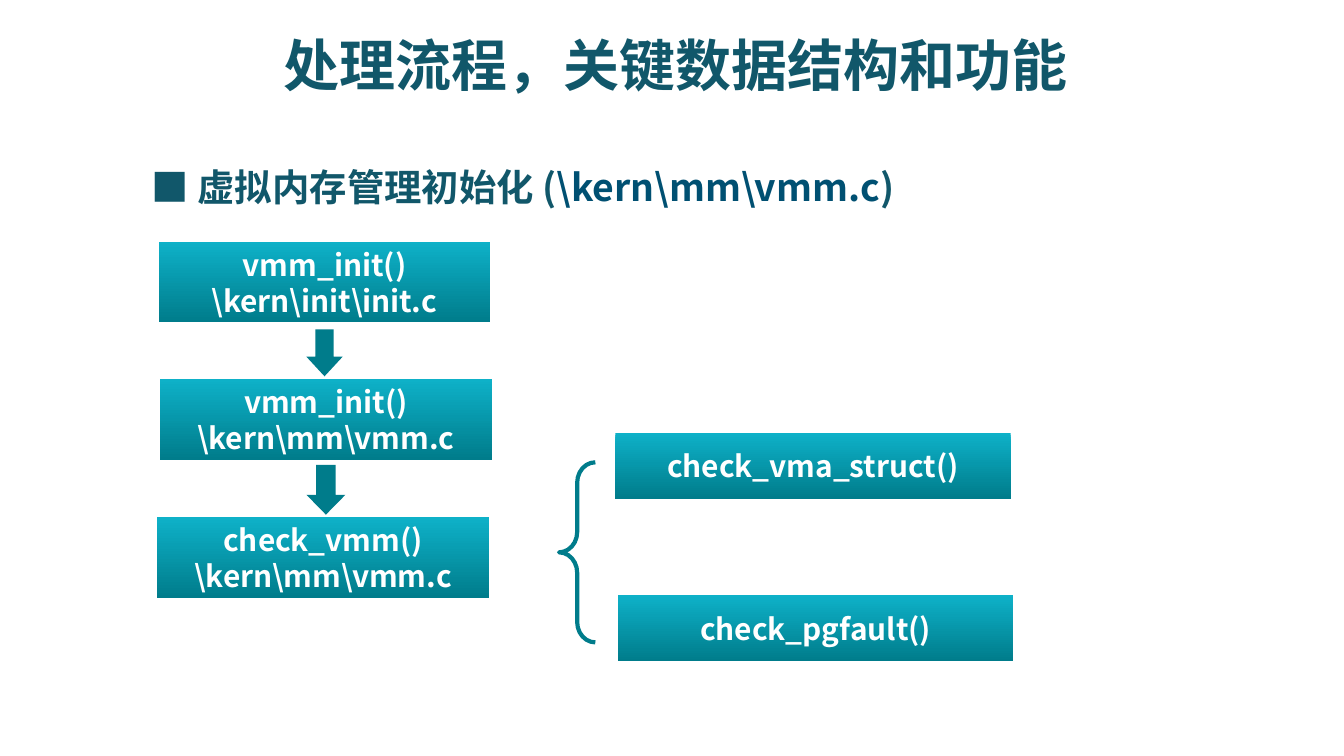
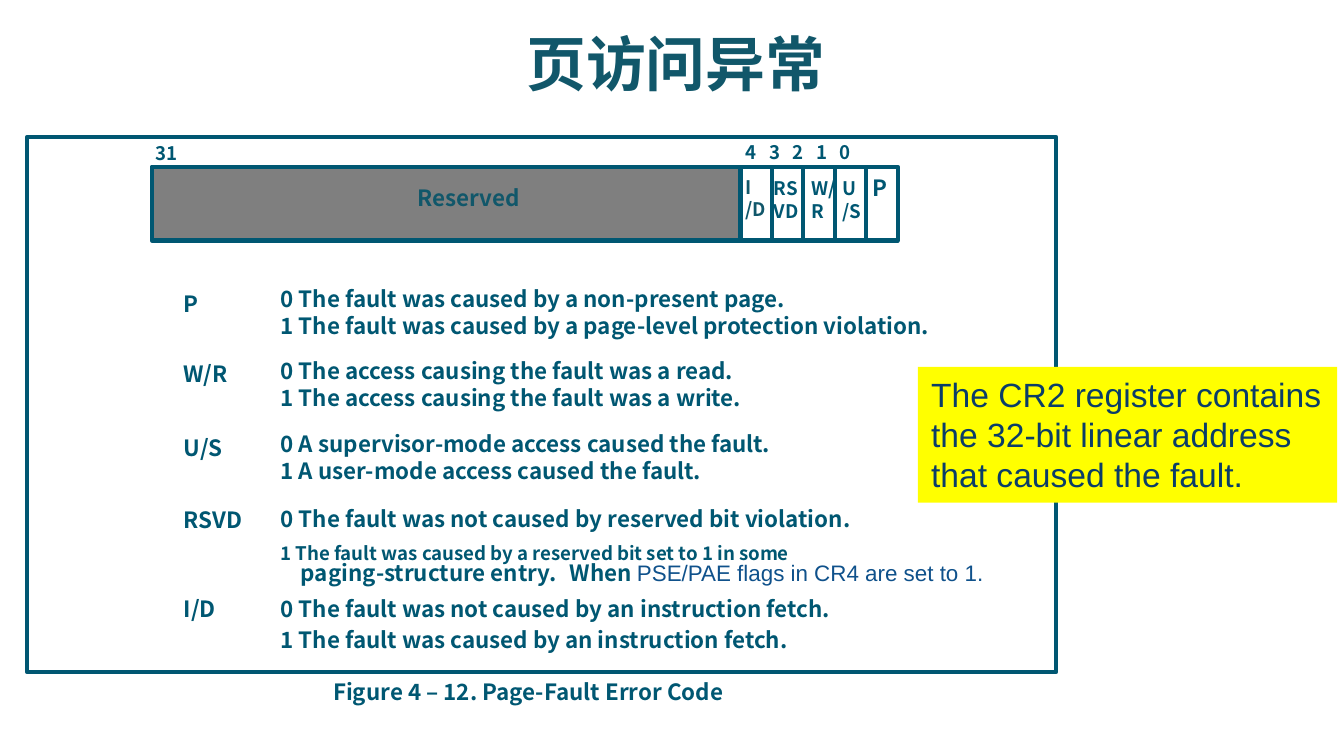
from dataclasses import dataclass, replace

from lxml import etree
from pptx import Presentation
from pptx.dml.color import RGBColor
from pptx.enum.shapes import MSO_SHAPE
from pptx.enum.text import MSO_ANCHOR, MSO_AUTO_SIZE, PP_ALIGN
from pptx.oxml.ns import qn
from pptx.util import Inches, Pt

RECTANGLE = MSO_SHAPE.RECTANGLE
DOWN_ARROW = MSO_SHAPE.DOWN_ARROW
LEFT_BRACE = MSO_SHAPE.LEFT_BRACE
TOP, MIDDLE, BOTTOM = MSO_ANCHOR.TOP, MSO_ANCHOR.MIDDLE, MSO_ANCHOR.BOTTOM
LEFT, CENTER = PP_ALIGN.LEFT, PP_ALIGN.CENTER
FIT_SHAPE, NO_FIT = MSO_AUTO_SIZE.SHAPE_TO_FIT_TEXT, MSO_AUTO_SIZE.NONE
TITLE_ONLY = 5


@dataclass(frozen=True)
class Style:
    size: int
    color: str
    bold: bool = True
    face: str = "Noto Sans CJK SC"


@dataclass(frozen=True)
class Theme:
    heading: str = "11576A"
    ink: str = "005772"
    file_name: str = "005072"
    box_top: str = "0EB1C8"
    accent: str = "007C8B"
    reserved: str = "7F7F7F"
    callout: str = "FFFF00"
    line_width: float = 2.25
    title: Style = Style(30, heading)
    bullet: Style = Style(20, heading)
    box: Style = Style(16, "FFFFFF")
    body: Style = Style(12, ink)
    small: Style = Style(10, ink)
    flags: Style = Style(12, "0F518B", False, "Arial")
    note: Style = Style(18, "0B3D68", False, "Arial")


THEME = Theme()

FLOW_STEPS = [
    (1.18, 1.8, ["vmm_init()", "\\kern\\init\\init.c"]),
    (1.19, 2.82, ["vmm_init()", "\\kern\\mm\\vmm.c"]),
    (1.17, 3.85, ["check_vmm()", "\\kern\\mm\\vmm.c"]),
]
CHECKS = [(4.58, 3.22, "check_vma_struct()"), (4.6, 4.43, "check_pgfault()")]

# label lines, left, top, width, style, wraps
BIT_LABELS = [
    (["I", "/D"], 5.45, 1.26, 0.38, replace(THEME.small, color=THEME.heading), False),
    (["RS", "VD"], 5.66, 1.27, 0.41, THEME.small, False),
    (["W/R"], 5.94, 1.27, 0.4, THEME.small, True),
    (["U", "/S"], 6.17, 1.27, 0.35, THEME.small, False),
    (["P"], 6.39, 1.25, 0.32, THEME.body, False),
]
BITS_WIDTH = 1.17
FIELD_NAMES = [
    ("P", 2.11, 0.32),
    ("W/R", 2.63, 0.57),
    ("U/S", 3.18, 0.52),
    ("RSVD", 3.72, 0.72),
    ("I/D", 4.38, 0.46),
]
FIELD_VALUES = [
    ("0 The fault was caused by a non-present page.", 2.07),
    ("1 The fault was caused by a page-level protection violation.", 2.27),
    ("0 The access causing the fault was a read.", 2.61),
    ("1 The access causing the fault was a write.", 2.81),
    ("0 A supervisor-mode access caused the fault.", 3.15),
    ("1 A user-mode access caused the fault.", 3.35),
    ("0 The fault was not caused by reserved bit violation.", 3.71),
    ("0 The fault was not caused by an instruction fetch.", 4.38),
    ("1 The fault was caused by an instruction fetch.", 4.61),
]


def rgb(color):
    return RGBColor.from_string(color)


def set_font(font, style):
    """Apply a style, giving East Asian characters the same typeface."""
    font.size = Pt(style.size)
    font.bold = style.bold
    font.color.rgb = rgb(style.color)
    font.name = style.face
    etree.SubElement(font._rPr, qn("a:ea"), typeface=style.face)


def set_indent(para, left, first=0):
    properties = para._p.get_or_add_pPr()
    properties.set("marL", str(Inches(left)))
    properties.set("indent", str(Inches(first)))


def set_tabs(para, stops):
    tabs = etree.SubElement(para._p.get_or_add_pPr(), qn("a:tabLst"))
    for stop in stops:
        etree.SubElement(tabs, qn("a:tab"), pos=str(Inches(stop)), algn="l")


def add_spans(para, spans):
    for text, style in spans:
        span = para.add_run()
        span.text = text
        set_font(span.font, style)


def write_lines(frame, lines, style, align=LEFT):
    for index, line in enumerate(lines):
        para = frame.add_paragraph() if index else frame.paragraphs[0]
        para.add_run().text = line
        para.alignment = align
        set_font(para.font, style)


def add_text(page, at, lines=(), style=THEME.body, wrap=True):
    box = page.shapes.add_textbox(*map(Inches, at))
    frame = box.text_frame
    frame.word_wrap = wrap
    frame.auto_size = FIT_SHAPE
    write_lines(frame, lines, style)
    return frame


def add_plain_shape(page, kind, at, fill=None, line=None):
    shape = page.shapes.add_shape(kind, *map(Inches, at))
    shape.shadow.inherit = False
    if fill:
        shape.fill.solid()
        shape.fill.fore_color.rgb = rgb(fill)
    else:
        shape.fill.background()
    if line:
        shape.line.color.rgb = rgb(line)
        shape.line.width = Pt(THEME.line_width)
    else:
        shape.line.fill.background()
    return shape


def add_function_box(page, at, lines):
    box = add_plain_shape(page, RECTANGLE, at)
    box.fill.gradient()
    box.fill.gradient_angle = 270
    for stop, color in zip(box.fill.gradient_stops, (THEME.box_top, THEME.accent)):
        stop.color.rgb = rgb(color)
    box.text_frame.word_wrap = False
    box.text_frame.vertical_anchor = MIDDLE
    write_lines(box.text_frame, lines, THEME.box, CENTER)


def add_page(deck, title, size):
    page = deck.slides.add_slide(deck.slide_layouts[TITLE_ONLY])
    box = page.shapes.title
    box.left, box.top, box.width, box.height = map(Inches, (0.68, 0.12, 8.7, 0.66))
    box.text_frame.vertical_anchor = BOTTOM
    box.text_frame.auto_size = NO_FIT
    write_lines(box.text_frame, [title], replace(THEME.title, size=size), CENTER)
    return page


def build_flow_page(deck):
    page = add_page(deck, "处理流程，关键数据结构和功能", 30)
    para = add_text(page, (1.03, 1.17, 8.5, 0.7)).paragraphs[0]
    set_indent(para, 0.38, -0.38)
    add_spans(para, [
        ("■ ", replace(THEME.bullet, face="Noto Sans CJK JP")),
        ("虚拟内存管理初始化 (", THEME.bullet),
        ("\\kern\\mm\\vmm.c", replace(THEME.bullet, color=THEME.file_name)),
        (")", THEME.bullet),
    ])
    for left, top, lines in FLOW_STEPS:
        add_function_box(page, (left, top, 2.47, 0.6), lines)
    for top, width, height, head in ((2.45, 0.27, 0.35, 0.54), (3.46, 0.29, 0.37, 0.51)):
        arrow = add_plain_shape(page, DOWN_ARROW, (2.28, top, width, height), THEME.accent)
        arrow.adjustments[1] = head
    brace = add_plain_shape(page, LEFT_BRACE, (4.16, 3.44, 0.27, 1.34), line=THEME.accent)
    brace.adjustments[0] = 0.56
    for left, top, name in CHECKS:
        add_function_box(page, (left, top, 2.94, 0.49), [name])


def add_error_code_register(page):
    add_plain_shape(page, RECTANGLE, (1.13, 1.24, 4.38, 0.55), THEME.reserved, THEME.ink)
    bit_width = BITS_WIDTH / len(BIT_LABELS)
    for bit in range(len(BIT_LABELS)):
        add_plain_shape(page, RECTANGLE, (5.51 + bit * bit_width, 1.24, bit_width, 0.55),
                        line=THEME.ink)
    add_text(page, (3.01, 1.32, 1.08, 0.3), ["Reserved"],
             replace(THEME.body, color=THEME.heading), wrap=False)
    for lines, left, top, width, style, wrap in BIT_LABELS:
        add_text(page, (left, top, width, 0.44), lines, style, wrap)
    add_text(page, (1.06, 1.01, 0.39, 0.27), ["31"], THEME.small, wrap=False)
    numbers = add_text(page, (5.45, 1, 1.41, 0.28)).paragraphs[0]
    set_tabs(numbers, [0.7 * step / 4 for step in range(1, 5)])
    numbers.add_run().text = "4\t3\t2\t1\t0"
    set_font(numbers.font, THEME.small)


def add_reserved_bit_note(page):
    frame = add_text(page, (1.99, 3.98, 5.62, 0.44),
                     ["1 The fault was caused by a reserved bit set to 1 in some"], THEME.small)
    entry = frame.add_paragraph()
    set_indent(entry, 0.15)
    set_tabs(entry, [2.17])
    add_spans(entry, [("paging-structure entry.\tWhen ", THEME.body),
                      ("PSE/PAE flags in CR4 are set to 1.", THEME.flags)])
    for para in frame.paragraphs:
        para.line_spacing = Pt(12)


def build_page_fault_page(deck):
    page = add_page(deck, "页访问异常", 32)
    add_plain_shape(page, RECTANGLE, (0.2, 1.02, 7.66, 3.98), line=THEME.ink)
    add_error_code_register(page)
    for name, top, width in FIELD_NAMES:
        add_text(page, (1.27, top, width, 0.3), [name], wrap=False)
    for meaning, top in FIELD_VALUES:
        add_text(page, (1.99, top, 5.62, 0.31), [meaning])
    add_reserved_bit_note(page)
    add_text(page, (2.38, 5, 4.32, 0.31), ["Figure 4 – 12. Page-Fault Error Code"])
    note = add_plain_shape(page, RECTANGLE, (6.83, 2.73, 3.12, 1.01), THEME.callout)
    note.text_frame.vertical_anchor = TOP
    note.text_frame.word_wrap = True
    note.text_frame.auto_size = FIT_SHAPE
    write_lines(note.text_frame,
                ["The CR2 register contains the 32-bit linear address that caused the fault."],
                THEME.note)


def main():
    deck = Presentation()
    deck.slide_width = Inches(10)
    deck.slide_height = deck.slide_width * 9 // 16
    build_flow_page(deck)
    build_page_fault_page(deck)
    deck.save("out.pptx")


if __name__ == "__main__":
    main()
